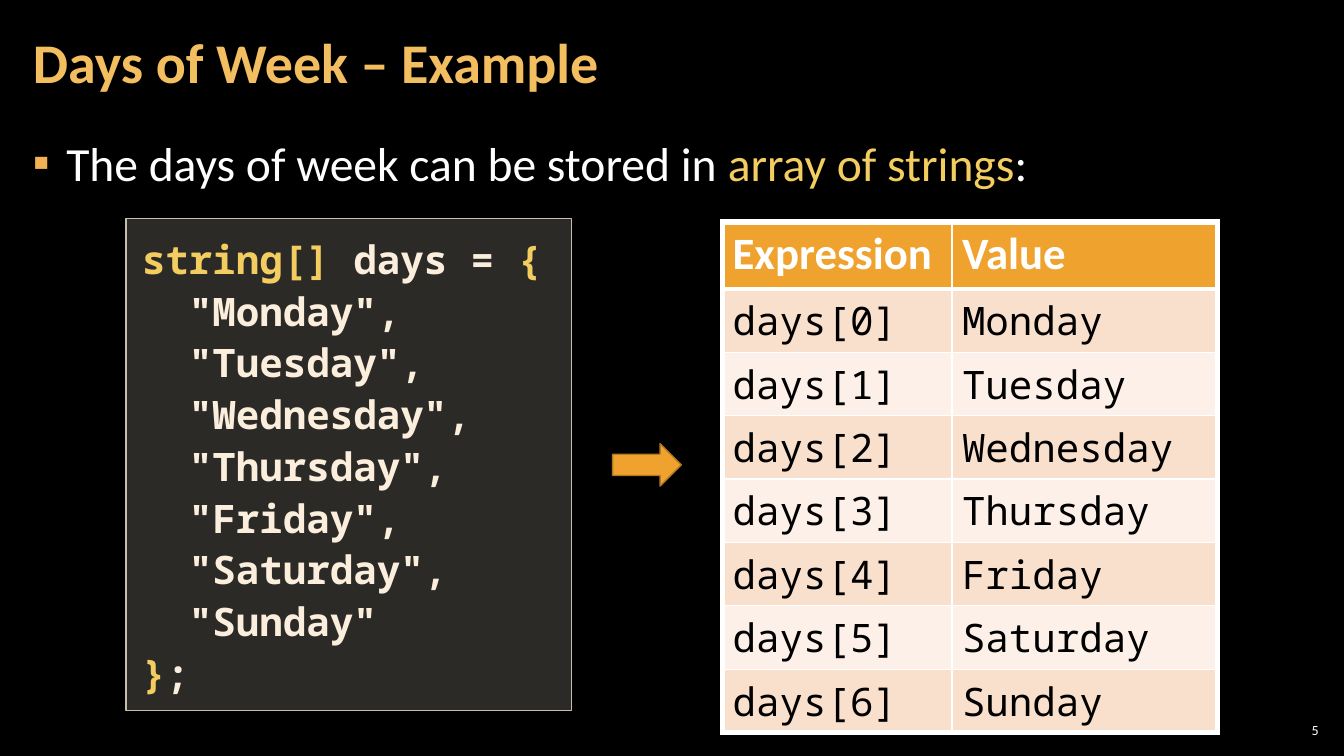
from lxml.etree import SubElement
from pptx import Presentation
from pptx.dml.color import RGBColor
from pptx.enum.shapes import MSO_SHAPE as Shape
from pptx.enum.text import MSO_ANCHOR as Anchor, MSO_AUTO_SIZE as AutoSize, PP_ALIGN as Align
from pptx.oxml.ns import qn
from pptx.util import Cm, Pt

TITLE = "Days of Week – Example"
PAGE_NUMBER = "5"
WHITE, BLACK, CREAM, YELLOW, ORANGE = "FFFFFF", "000000", "FBEEDC", "F3CD60", "F0A22E"
BANDS = ("F9E0CD", "FCF0E8")
SANS, MONO = "Calibri", "Noto Sans Mono"

DAYS = ["Monday", "Tuesday", "Wednesday", "Thursday", "Friday", "Saturday", "Sunday"]
BULLET = [("The days of week can be stored in ", WHITE), ("array of strings", YELLOW), (":", WHITE)]
CODE = [
    [("string[] ", YELLOW), ("days = ", CREAM), ("{", YELLOW)],
    *[[(f'  "{day}",', CREAM)] for day in DAYS[:-1]],
    [(f'  "{DAYS[-1]}"', CREAM)],
    [("}", YELLOW), (";", CREAM)],
]
ROWS = [("Expression", "Value"), *[(f"days[{i}]", day) for i, day in enumerate(DAYS)]]

COLUMN_WIDTHS = (Cm(5.78), Cm(6.69))
HEADER_HEIGHT, ROW_HEIGHT = Cm(1.69), Cm(1.51)
OUTER, INNER, HEADER_RULE = 4.5, 1, 3


def rgb(code):
    return RGBColor.from_string(code)


def place(shape, left, top, width, height):
    shape.left, shape.top, shape.width, shape.height = Cm(left), Cm(top), Cm(width), Cm(height)


def set_up_frame(frame, side, end, anchor=Anchor.TOP):
    frame.word_wrap = True
    frame.auto_size = AutoSize.NONE
    frame.vertical_anchor = anchor
    frame.margin_left = frame.margin_right = Cm(side)
    frame.margin_top = frame.margin_bottom = Cm(end)


def write(para, spans, name, size, bold=False, spacing=1.0, align=Align.LEFT):
    para.alignment = align
    para.line_spacing = spacing
    para.space_before = Pt(0)
    font = para.font
    font.name, font.size, font.bold = name, Pt(size), bold
    if len({color for _, color in spans}) == 1:
        font.color.rgb = rgb(spans[0][1])
    for text, color in spans:
        span = para.add_run()
        span.text = text
        if len(spans) > 1:
            span.font.color.rgb = rgb(color)


def add_bullet(para, symbol, color):
    props = para._p.get_or_add_pPr()
    props.set("marL", str(Cm(0.84)))
    props.set("indent", str(-Cm(0.84)))
    SubElement(SubElement(props, qn("a:buClr")), qn("a:srgbClr"), val=color)
    SubElement(props, qn("a:buFont"), typeface=SANS)
    SubElement(props, qn("a:buChar"), char=symbol)


def add_borders(cell, **widths):
    props = cell._tc.get_or_add_tcPr()
    for side in "LRTB":
        line = SubElement(props, qn(f"a:ln{side}"), w=str(Pt(widths[side])))
        SubElement(SubElement(line, qn("a:solidFill")), qn("a:srgbClr"), val=WHITE)


def add_block(page, kind, fill, line, *bounds):
    block = page.shapes.add_shape(kind, *map(Cm, bounds))
    block.shadow.inherit = False
    block.fill.solid()
    block.fill.fore_color.rgb = rgb(fill)
    block.line.color.rgb = rgb(line)
    block.line.width = Pt(1)
    return block


def add_headings(page):
    title, body = page.placeholders
    place(title, 0.53, 0.1, 26.6, 3.07)
    set_up_frame(title.text_frame, 0.3, 0.1, Anchor.MIDDLE)
    write(title.text_frame.paragraphs[0], [(TITLE, "F3BE60")], SANS, 40, True, 0.9)

    place(body, 0.53, 3.2, 32.8, 15.47)
    set_up_frame(body.text_frame, 0.3, 0.1)
    para = body.text_frame.paragraphs[0]
    add_bullet(para, "▪", "F2B254")
    write(para, BULLET, SANS, 34, spacing=1.05)

    number = page.shapes.add_textbox(Cm(32.13), Cm(18.14), Cm(1.2), Cm(0.53))
    set_up_frame(number.text_frame, 0.1, 0.1, Anchor.MIDDLE)
    write(number.text_frame.paragraphs[0], [(PAGE_NUMBER, WHITE)], SANS, 10, align=Align.RIGHT)


def add_code(page):
    box = add_block(page, Shape.RECTANGLE, "D9D5C7", "C7BFAC", 3.18, 5.51, 11.22, 12.4)
    color = box.fill._xPr.find(qn("a:solidFill"))[0]
    SubElement(color, qn("a:alpha"), val="20000")
    frame = box.text_frame
    set_up_frame(frame, 0.4, 0.3)
    for i, spans in enumerate(CODE):
        para = frame.add_paragraph() if i else frame.paragraphs[0]
        write(para, spans, MONO, 28, True, 1.1)


def add_days_table(page):
    last_row, last_column = len(ROWS) - 1, len(COLUMN_WIDTHS) - 1
    height = HEADER_HEIGHT + last_row * ROW_HEIGHT
    table = page.shapes.add_table(len(ROWS), len(COLUMN_WIDTHS), Cm(18.21), Cm(5.59),
                                  sum(COLUMN_WIDTHS), height).table
    for column, width in zip(table.columns, COLUMN_WIDTHS):
        column.width = width
    for r, values in enumerate(ROWS):
        header = r == 0
        table.rows[r].height = HEADER_HEIGHT if header else ROW_HEIGHT
        for c, value in enumerate(values):
            cell = table.cell(r, c)
            add_borders(
                cell,
                L=OUTER if c == 0 else INNER,
                R=OUTER if c == last_column else INNER,
                T=OUTER if header else HEADER_RULE if r == 1 else INNER,
                B=HEADER_RULE if header else OUTER if r == last_row else INNER,
            )
            cell.fill.solid()
            cell.fill.fore_color.rgb = rgb(ORANGE if header else BANDS[(r - 1) % 2])
            para = cell.text_frame.paragraphs[0]
            if header:
                write(para, [(value, WHITE)], SANS, 32, True)
            else:
                write(para, [(value, BLACK)], MONO, 28)


def main():
    deck = Presentation()
    deck.slide_width, deck.slide_height = Cm(33.87), Cm(19.05)
    page = deck.slides.add_slide(deck.slide_layouts[1])
    page.background.fill.solid()
    page.background.fill.fore_color.rgb = rgb(BLACK)
    add_headings(page)
    add_code(page)
    add_days_table(page)
    add_block(page, Shape.RIGHT_ARROW, ORANGE, "B27822", 15.44, 11.18, 1.73, 1.07)
    deck.save("out.pptx")


if __name__ == "__main__":
    main()
